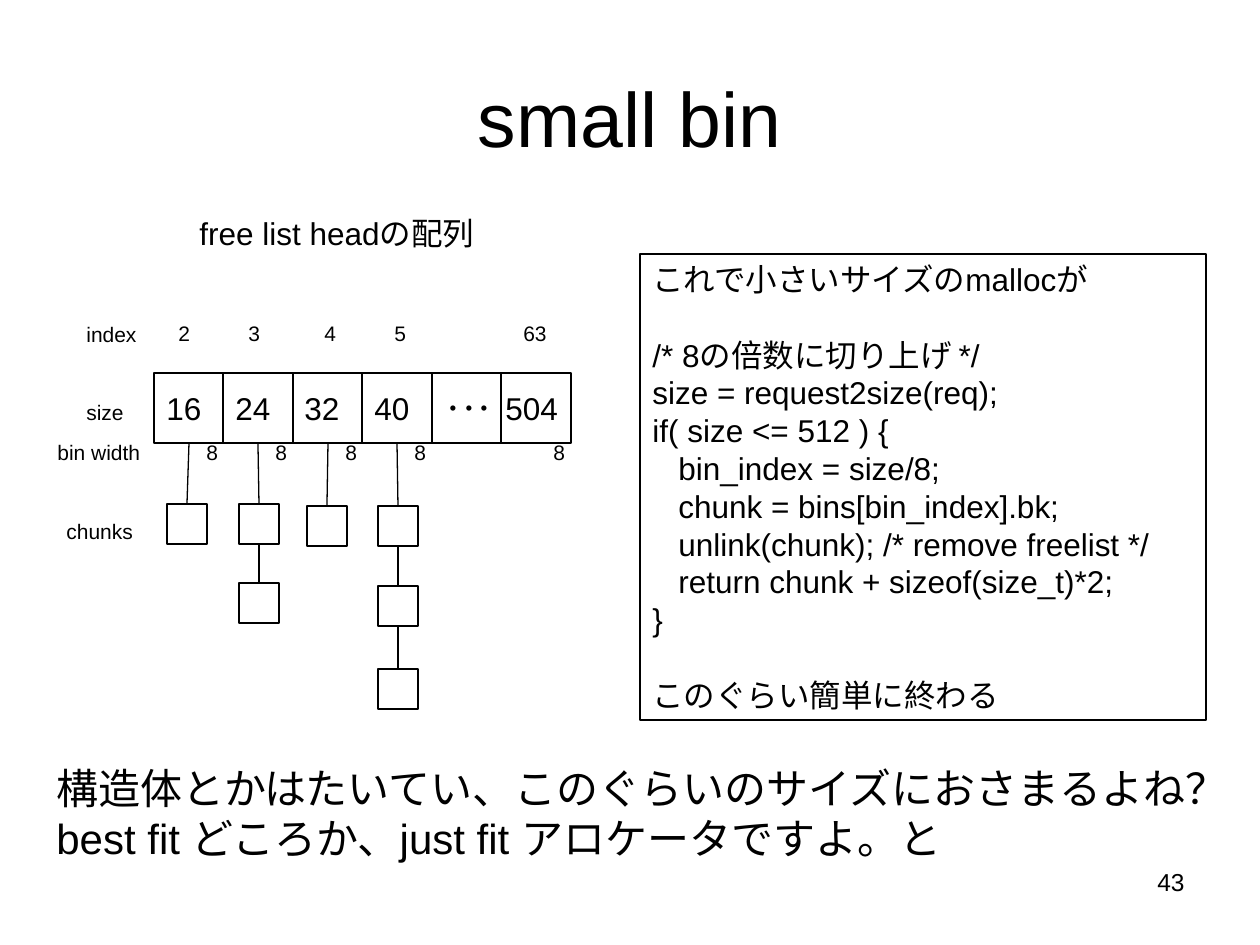
from dataclasses import dataclass

from pptx import Presentation
from pptx.dml.color import RGBColor
from pptx.enum.shapes import MSO_CONNECTOR, MSO_SHAPE
from pptx.enum.text import MSO_ANCHOR, MSO_AUTO_SIZE, PP_ALIGN
from pptx.oxml.ns import qn
from pptx.shapes.autoshape import Shape
from pptx.slide import Slide
from pptx.text.text import TextFrame
from pptx.util import Emu, Pt
from lxml.etree import SubElement


@dataclass(frozen=True)
class Theme:
    font: str = "Arial"
    ink: RGBColor = RGBColor(0, 0, 0)
    paper: RGBColor = RGBColor(255, 255, 255)
    title: int = 44
    remark: int = 24
    body: int = 18
    page: int = 14
    label: int = 12
    outline: float = 0.75


@dataclass(frozen=True)
class Box:
    left: int
    top: int
    width: int
    height: int


@dataclass(frozen=True)
class Line:
    text: str
    indent: int = 0
    gap: float = 0


@dataclass(frozen=True)
class Label:
    text: str
    box: Box
    size: int


@dataclass(frozen=True)
class Bin:
    index: str
    index_left: int
    size: str
    size_left: int
    width: str = "8"
    chunk_left: int = 0
    chunk_tops: tuple[int, ...] = ()


THEME = Theme()
PX = 914400 / 126
ARRAY_LEFT, ARRAY_TOP, ARRAY_WIDTH = 154, 373, 417
CELL, CHUNK = 70, 40
SIZE_WIDTH, INDEX_WIDTH, BIN_WIDTH = 90, 60, 44
CODE_INDENT, BLANK_LINE = 26, 21.5

BINS = (
    Bin("2", 166, "16", 154, "8", 167, (504,)),
    Bin("3", 236, "24", 223, "8", 239, (504, 583)),
    Bin("4", 312, "32", 292, "8", 307, (506,)),
    Bin("5", 382, "40", 362, "8", 378, (506, 586, 669)),
    Bin("", 0, "･･･", 433, ""),
    Bin("63", 511, "504", 493),
)

LABELS = (
    Label("size", Box(74, 393, 76, 38), THEME.label),
    Label("index", Box(74, 315, 88, 38), THEME.label),
    Label("chunks", Box(54, 512, 104, 38), THEME.label),
    Label("bin width", Box(45, 433, 120, 38), THEME.label),
    Label("free list headの配列", Box(187, 208, 330, 50), THEME.body),
)

CODE = (
    Line("これで小さいサイズのmallocが"),
    Line("/* 8の倍数に切り上げ */", gap=BLANK_LINE),
    Line("size = request2size(req);"),
    Line("if( size <= 512 ) {"),
    Line("bin_index = size/8;", CODE_INDENT),
    Line("chunk = bins[bin_index].bk;", CODE_INDENT),
    Line("unlink(chunk); /* remove freelist */", CODE_INDENT),
    Line("return chunk + sizeof(size_t)*2;", CODE_INDENT),
    Line("}"),
    Line("このぐらい簡単に終わる", gap=BLANK_LINE),
)

REMARK = (
    Line("構造体とかはたいてい、このぐらいのサイズにおさまるよね？"),
    Line("best fit どころか、just fit アロケータですよ。と"),
)


def px(length: float) -> Emu:
    return Emu(round(length * PX))


def place(box: Box) -> tuple[Emu, Emu, Emu, Emu]:
    return px(box.left), px(box.top), px(box.width), px(box.height)


def write(
    frame: TextFrame,
    text: str | tuple[Line, ...],
    *,
    size: int,
    align: PP_ALIGN = PP_ALIGN.LEFT,
    anchor: MSO_ANCHOR = MSO_ANCHOR.TOP,
) -> None:
    lines = (Line(text),) if isinstance(text, str) else text
    frame.word_wrap = True
    frame.auto_size = MSO_AUTO_SIZE.NONE
    frame.vertical_anchor = anchor
    for number, line in enumerate(lines):
        paragraph = frame.add_paragraph() if number else frame.paragraphs[0]
        paragraph.alignment = align
        paragraph.space_before = Pt(line.gap)
        if line.indent:
            paragraph._p.get_or_add_pPr().set("marL", str(px(line.indent)))
        run = paragraph.add_run()
        run.text = line.text
        run.font.name = THEME.font
        run.font.size = Pt(size)
        run.font.color.rgb = THEME.ink


def add_label(slide: Slide, label: Label, **text_format) -> None:
    frame = slide.shapes.add_textbox(*place(label.box)).text_frame
    write(frame, label.text, size=label.size, **text_format)


def add_rectangle(slide: Slide, box: Box, filled: bool = True) -> Shape:
    rectangle = slide.shapes.add_shape(MSO_SHAPE.RECTANGLE, *place(box))
    rectangle.shadow.inherit = False
    if filled:
        rectangle.fill.solid()
        rectangle.fill.fore_color.rgb = THEME.paper
    else:
        rectangle.fill.background()
    rectangle.line.color.rgb = THEME.ink
    rectangle.line.width = Pt(THEME.outline)
    return rectangle


def link(slide: Slide, upper: Shape, lower: Shape) -> None:
    connector = slide.shapes.add_connector(MSO_CONNECTOR.STRAIGHT, 0, 0, 0, 0)
    connector.begin_connect(upper, 2)
    connector.end_connect(lower, 0)
    connector.line.color.rgb = THEME.ink
    connector.line.width = Pt(THEME.outline)
    SubElement(connector._element.spPr, qn("a:effectLst"))


def cell_left(position: int) -> int:
    return ARRAY_LEFT + ARRAY_WIDTH * position // len(BINS)


def add_bin(slide: Slide, position: int, entry: Bin) -> None:
    upper = add_rectangle(slide, Box(cell_left(position), ARRAY_TOP, CELL, CELL))
    for top in entry.chunk_tops:
        lower = add_rectangle(slide, Box(entry.chunk_left, top, CHUNK, CHUNK))
        link(slide, upper, lower)
        upper = lower


def add_bin_labels(slide: Slide, position: int, entry: Bin) -> None:
    width_left = cell_left(position) + 40
    labels = (
        Label(entry.size, Box(entry.size_left, 383, SIZE_WIDTH, 50), THEME.body),
        Label(entry.index, Box(entry.index_left, 314, INDEX_WIDTH, 38), THEME.label),
        Label(entry.width, Box(width_left, 433, BIN_WIDTH, 38), THEME.label),
    )
    for label in labels:
        if label.text:
            add_label(slide, label)


def main() -> None:
    presentation = Presentation()
    presentation.slide_width, presentation.slide_height = px(1260), px(945)
    slide = presentation.slides.add_slide(presentation.slide_layouts[6])
    add_label(slide, Label("small bin", Box(63, 38, 1134, 158), THEME.title),
              align=PP_ALIGN.CENTER, anchor=MSO_ANCHOR.MIDDLE)
    for draw in (add_bin, add_bin_labels):
        for position, entry in enumerate(BINS):
            draw(slide, position, entry)
    for label in LABELS:
        add_label(slide, label)
    code_box = add_rectangle(slide, Box(640, 254, 566, 466), filled=False)
    write(code_box.text_frame, CODE, size=THEME.body)
    remark_box = slide.shapes.add_textbox(*place(Box(44, 756, 1214, 113)))
    write(remark_box.text_frame, REMARK, size=THEME.remark)
    add_label(slide, Label("43", Box(903, 861, 294, 66), THEME.page),
              align=PP_ALIGN.RIGHT)
    presentation.save("out.pptx")


if __name__ == "__main__":
    main()
